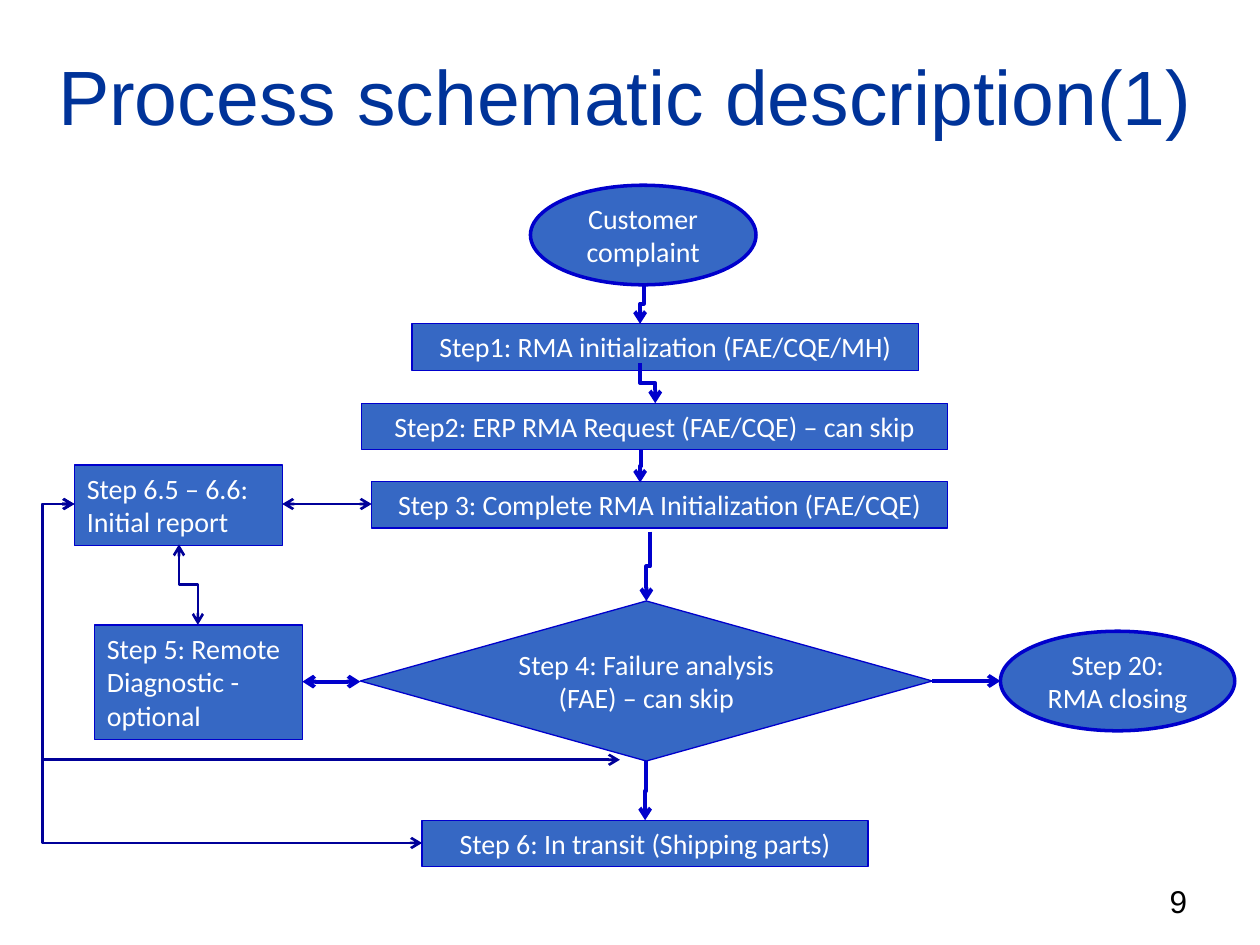
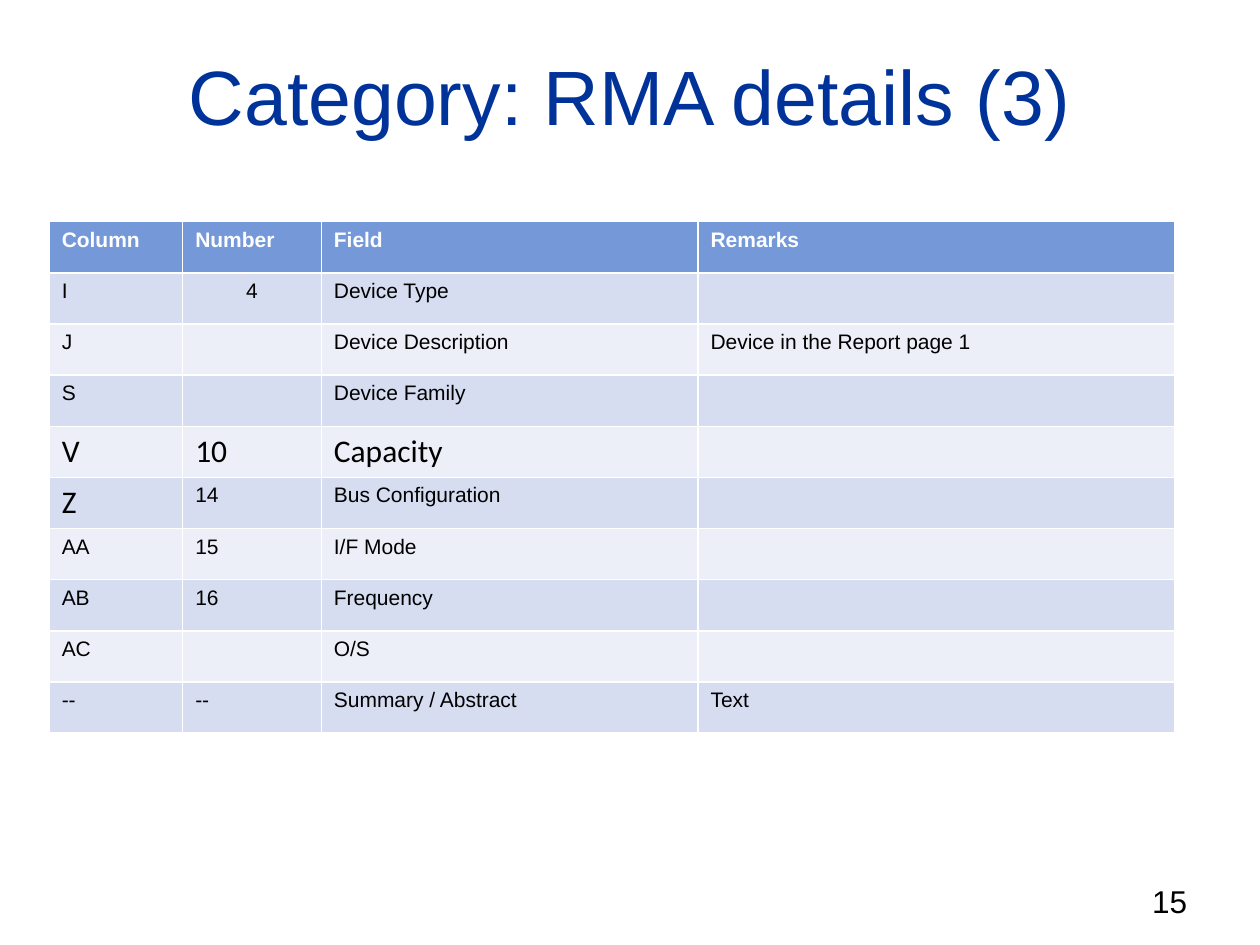
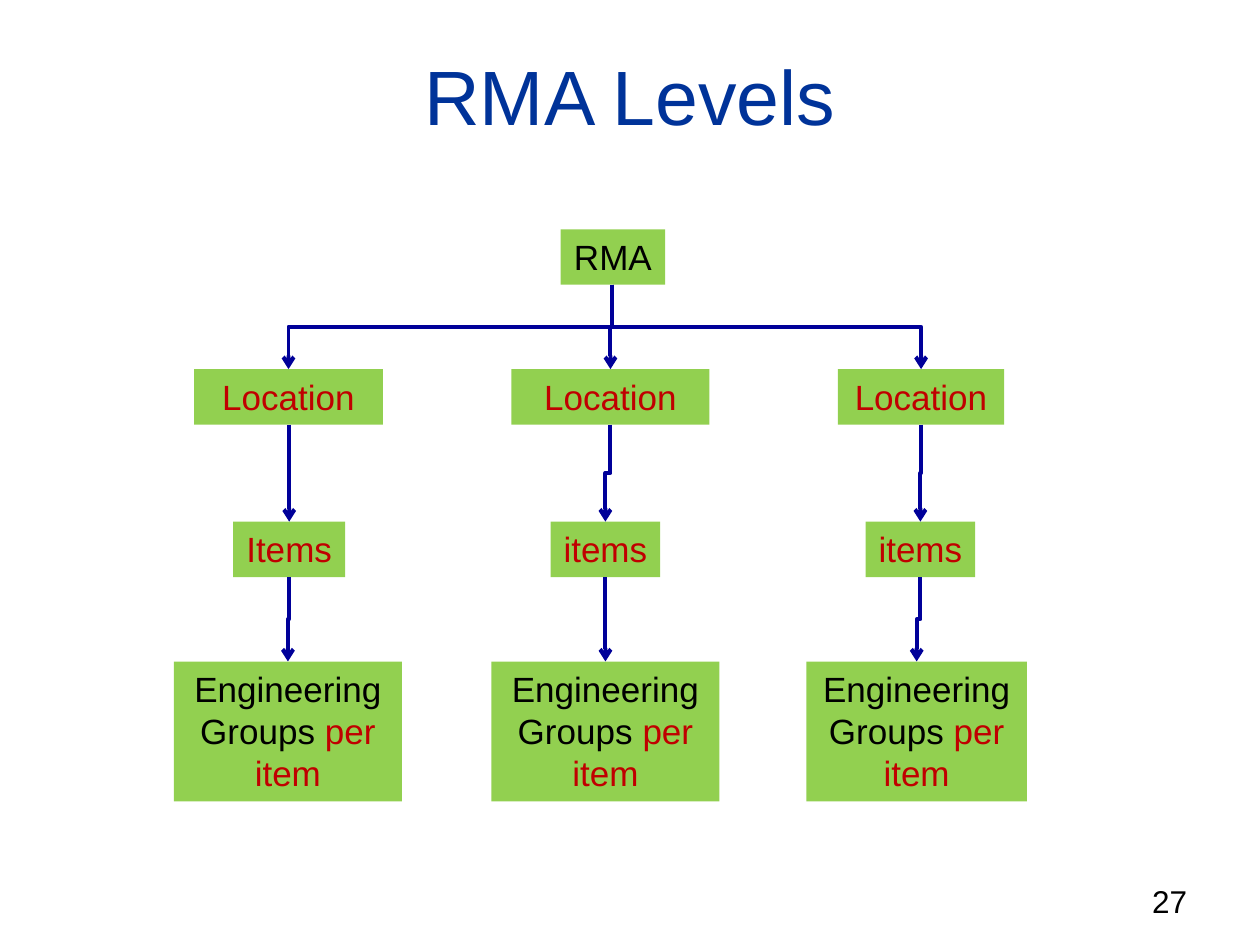
from lxml.etree import SubElement
from pptx import Presentation
from pptx.dml.color import RGBColor
from pptx.enum.shapes import MSO_CONNECTOR, MSO_SHAPE
from pptx.enum.text import MSO_ANCHOR, PP_ALIGN
from pptx.oxml.ns import qn
from pptx.util import Inches, Pt

COLORS = {
    "title": "003399", "black": "000000", "white": "FFFFFF", "red": "C00000",
    "step": "3668C4", "edge": "0000CC", "link": "000099", "level": "92D050",
    "header": "7598D9", "band": "D6DDF1", "plain": "ECEFF8",
}
GRID_COLS, GRID_ROWS = 100, 75


def rgb(name):
    return RGBColor.from_string(COLORS[name])


def write(tf, text, size=16, font="Arial", color="black", align=PP_ALIGN.LEFT, bold=False):
    p = tf.paragraphs[0]
    p.alignment = align
    runs = [(text, color)] if isinstance(text, str) else text
    for part, part_color in runs:
        r = p.add_run()
        r.text = part
        r.font.size = Pt(size)
        r.font.name = font
        r.font.bold = bold
        r.font.color.rgb = rgb(part_color)


class Deck:
    def __init__(self):
        self.prs = Presentation()
        self.prs.slide_width, self.prs.slide_height = Inches(10), Inches(7.5)
        self.col = self.prs.slide_width / GRID_COLS
        self.row = self.prs.slide_height / GRID_ROWS

    def place(self, x, y, w, h):
        return (round(x * self.col), round(y * self.row),
                round(w * self.col), round(h * self.row))

    def slide(self, title, number, x=5, w=90):
        self.s = self.prs.slides.add_slide(self.prs.slide_layouts[6])
        self.text(title, x, 2.8, w, 9.5, anchor=MSO_ANCHOR.MIDDLE,
                  size=44, color="title", align=PP_ALIGN.CENTER)
        self.text(str(number), 71.9, 69.5, 23.3, 4, size=18, align=PP_ALIGN.RIGHT)

    def text(self, text, x, y, w, h, anchor=MSO_ANCHOR.TOP, **fmt):
        tf = self.s.shapes.add_textbox(*self.place(x, y, w, h)).text_frame
        tf.word_wrap = True
        tf.vertical_anchor = anchor
        write(tf, text, **fmt)

    def shape(self, text, x, y, w, h, kind=MSO_SHAPE.RECTANGLE, fill="step", edge=None,
              width=0.75, wrap=True, anchor=MSO_ANCHOR.TOP, **fmt):
        sp = self.s.shapes.add_shape(kind, *self.place(x, y, w, h))
        sp.shadow.inherit = False
        sp.fill.solid()
        sp.fill.fore_color.rgb = rgb(fill)
        if edge:
            sp.line.color.rgb = rgb(edge)
            sp.line.width = Pt(width)
        else:
            sp.line.fill.background()
        sp.text_frame.word_wrap = wrap
        sp.text_frame.vertical_anchor = anchor
        write(sp.text_frame, text, **fmt)

    def step(self, text, x, y, w, h, align=PP_ALIGN.CENTER, **style):
        self.shape(text, x, y, w, h, edge="edge", font="Calibri", color="white",
                   align=align, **style)

    def terminal(self, text, x, y, w, h):
        self.step(text, x, y, w, h, kind=MSO_SHAPE.OVAL, width=2, anchor=MSO_ANCHOR.MIDDLE)

    def level(self, text, x, y, w, h, **style):
        self.shape(text, x, y, w, h, fill="level", size=20, align=PP_ALIGN.CENTER, **style)

    def connector(self, kind, x, y, w, h, color, width, both):
        left, top, wide, high = self.place(x, y, w, h)
        cn = self.s.shapes.add_connector(kind, left, top, left + wide, top + high)
        cn.line.color.rgb = rgb(color)
        cn.line.width = Pt(width)
        ln = cn.line._ln
        for end in ("a:headEnd", "a:tailEnd") if both else ("a:tailEnd",):
            SubElement(ln, qn(end)).set("type", "arrow")
        spPr = cn._element.spPr
        SubElement(spPr, qn("a:effectLst"))
        return spPr

    def across(self, x1, x2, y, color="edge", width=2.25, both=False):
        self.connector(MSO_CONNECTOR.STRAIGHT, x1, y, x2 - x1, 0, color, width, both)

    def down(self, x1, y1, x2, y2, color="edge", width=2.25, both=False):
        w, h = y2 - y1, abs(x2 - x1)
        x, y = (x1 + x2 - w) / 2, (y1 + y2 - h) / 2
        spPr = self.connector(MSO_CONNECTOR.ELBOW, x, y, w, h, color, width, both)
        xfrm = spPr.find(qn("a:xfrm"))
        if x2 > x1:
            xfrm.set("rot", str(270 * 60000))
            xfrm.set("flipH", "1")
        else:
            xfrm.set("rot", str(90 * 60000))

    def loop(self, x1, y1, x2, y2, bend_x):
        spPr = self.connector(MSO_CONNECTOR.ELBOW, x2, y2, x1 - x2, y1 - y2, "link", 1.5, True)
        spPr.find(qn("a:xfrm")).set("rot", str(180 * 60000))
        geom = spPr.find(qn("a:prstGeom"))
        av = geom.find(qn("a:avLst"))
        if av is None:
            av = SubElement(geom, qn("a:avLst"))
        gd = SubElement(av, qn("a:gd"))
        gd.set("name", "adj1")
        gd.set("fmla", f"val {round((x1 - bend_x) / (x1 - x2) * 100000)}")

    def table(self, rows, x, y, widths, row_h, large=(), centred=()):
        frame = self.s.shapes.add_table(
            len(rows), len(widths), *self.place(x, y, sum(widths), row_h * len(rows)))
        tbl = frame.table
        for column, w in zip(tbl.columns, widths):
            column.width = round(w * self.col)
        for i, row in enumerate(rows):
            head = i == 0
            for j, text in enumerate(row):
                cell = tbl.cell(i, j)
                cell.fill.solid()
                cell.fill.fore_color.rgb = rgb("header" if head else "band" if i % 2 else "plain")
                big = text in large
                write(cell.text_frame, text, size=18 if big else 12,
                      font="Calibri" if big else "Arial",
                      color="white" if head else "black", bold=head,
                      align=PP_ALIGN.CENTER if text in centred else PP_ALIGN.LEFT)


def process_slide(deck):
    deck.slide("Process schematic description(1)", 9, x=3.5, w=92.3)
    deck.terminal("Customer complaint", 42.1, 14.7, 17.9, 7.9)
    deck.terminal("Step 20: RMA closing", 79.4, 50.1, 18.6, 7.9)
    bar = 3.7
    for text, x, y, w in [
        ("Step1: RMA initialization (FAE/CQE/MH)", 32.7, 25.7, 40.2),
        ("Step2: ERP RMA Request (FAE/CQE) – can skip", 28.7, 32, 46.5),
        ("Step 3: Complete RMA Initialization (FAE/CQE)", 29.5, 38.2, 45.7),
        ("Step 6: In transit (Shipping parts)", 33.5, 65.1, 35.4),
    ]:
        deck.step(text, x, y, w, bar)
    deck.step("Step 4: Failure analysis (FAE) – can skip", 28.6, 47.7, 45.4, 12.7,
              kind=MSO_SHAPE.DIAMOND)
    deck.step("Step 5: Remote Diagnostic - optional", 7.5, 49.6, 16.5, 9.1, align=PP_ALIGN.LEFT)
    deck.step("Step 6.5 – 6.6: Initial report", 5.9, 36.9, 16.5, 6.4, align=PP_ALIGN.LEFT)

    for ends in [
        (51.1, 22.5, 50.8, 25.7), (50.8, 28.8, 52, 32), (50.9, 35.7, 50.8, 38.3),
        (51.6, 42.2, 51.3, 47.7), (51.3, 60.4, 51.2, 65.1),
    ]:
        deck.down(*ends)
    deck.across(74, 79.4, 54.05)
    deck.across(24, 28.6, 54.1, both=True)
    deck.across(22.4, 29.5, 40, color="link", width=1.5, both=True)
    deck.down(14.2, 43.2, 15.7, 49.6, color="link", width=1.5, both=True)
    for x, y in [(49.2, 60.3), (33.5, 66.9)]:
        deck.loop(x, y, 5.9, 40, bend_x=3.4)


def details_slide(deck):
    deck.slide("Category: RMA details (3)", 15)
    rows = [
        ("Column", "Number", "Field", "Remarks"),
        ("I", "4", "Device Type", ""),
        ("J", "", "Device Description", "Device in the Report page 1"),
        ("S", "", "Device Family", ""),
        ("V", "10", "Capacity", ""),
        ("Z", "14", "Bus Configuration", ""),
        ("AA", "15", "I/F Mode", ""),
        ("AB", "16", "Frequency", ""),
        ("AC", "", "O/S", ""),
        ("--", "--", "Summary / Abstract", "Text"),
    ]
    deck.table(rows, 3.9, 17.6, [10.6, 11, 29.9, 37.8], 4.06,
               large=("V", "10", "Capacity", "Z"), centred=("4",))


def levels_slide(deck):
    deck.slide("RMA Levels", 27)
    root_x, root_y, box_h = 48.6, 18.2, 4.4
    location_y, items_y, group_y = 29.3, 41.4, 52.5
    group_text = [("Engineering Groups ", "black"), ("per item", "red")]
    deck.level("RMA", 44.5, root_y, 8.3, box_h, wrap=False)
    for label, location, items, group in [
        ("Items", (15.4, 15), (18.5, 8.9), (13.8, 18.1)),
        ("items", (40.6, 15.7), (43.7, 8.7), (39, 18.1)),
        ("items", (66.5, 13.2), (68.7, 8.7), (64, 17.5)),
    ]:
        deck.level("Location", location[0], location_y, location[1], box_h, color="red")
        deck.level(label, items[0], items_y, items[1], box_h, color="red", wrap=False)
        deck.level(group_text, group[0], group_y, group[1], 11.1)
        xs = [root_x] + [x + w / 2 for x, w in (location, items, group)]
        ys = [root_y, location_y, items_y, group_y]
        for x1, y1, x2, y2 in zip(xs, ys, xs[1:], ys[1:]):
            deck.down(x1, y1 + box_h, x2, y2, color="link")


def main():
    deck = Deck()
    process_slide(deck)
    details_slide(deck)
    levels_slide(deck)
    deck.prs.save("out.pptx")


if __name__ == "__main__":
    main()
